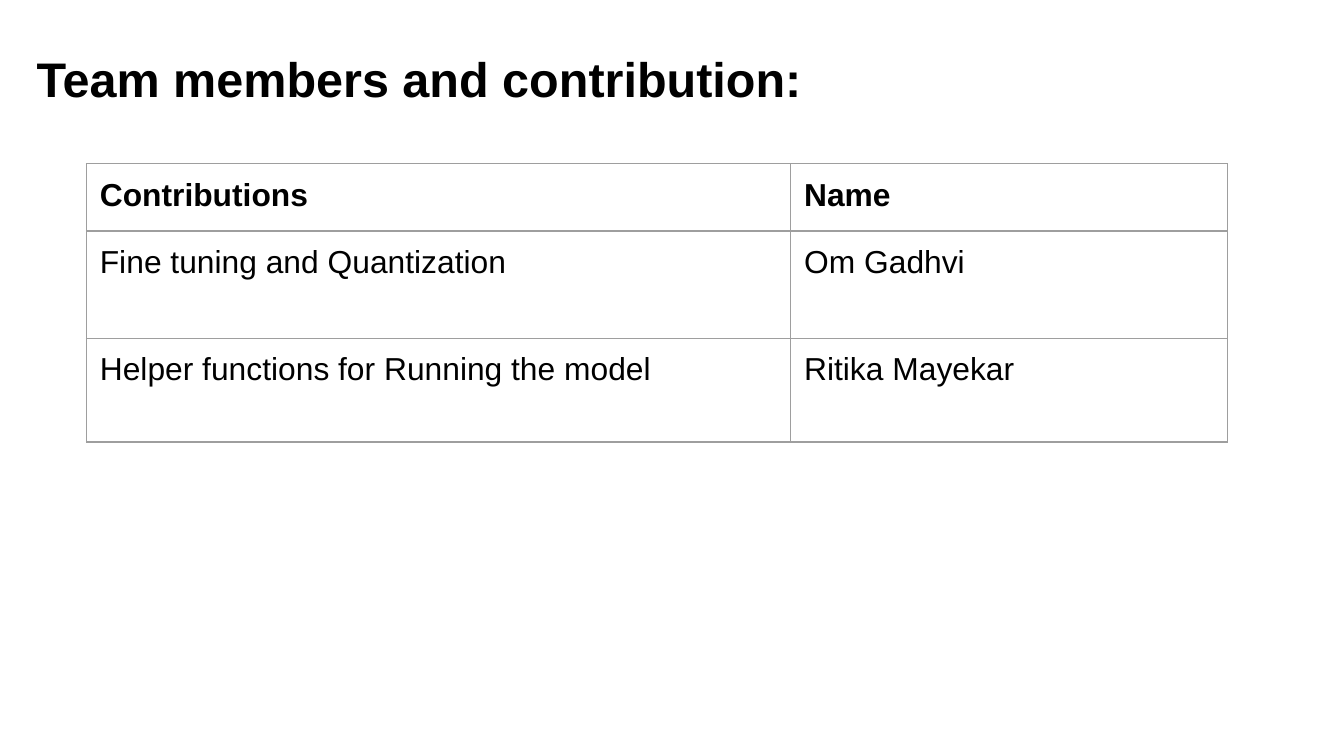
from lxml import etree
from pptx import Presentation
from pptx import util as u
from pptx.dml.color import RGBColor
from pptx.enum import text as t
from pptx.oxml.ns import qn

FONT = "Arial"
INK = "000000"
EDGE = "9E9E9E"
PAD = u.Pt(7.2)
COLS = (377.3, 234)
ROWS = (36, 57.6, 55.4)
CELLS = (
    ("Contributions", "Name"),
    ("Fine tuning and Quantization", "Om Gadhvi"),
    ("Helper functions for Running the model", "Ritika Mayekar"),
)


def tint(code):
    return RGBColor.from_string(code)


def add_run(para, words, size, bold):
    run = para.add_run()
    run.text = words
    font = run.font
    font.name, font.size, font.bold = FONT, u.Pt(size), bold
    font.color.rgb = tint(INK)


def add_edges(cell):
    # Borders must come before the fill in the cell properties
    props = cell._tc.get_or_add_tcPr()
    for spot, side in enumerate(("lnL", "lnR", "lnT", "lnB")):
        line = etree.Element(qn("a:" + side), w=str(u.Pt(0.75)))
        fill = etree.SubElement(line, qn("a:solidFill"))
        etree.SubElement(fill, qn("a:srgbClr"), val=EDGE)
        props.insert(spot, line)


def add_title(slide, words):
    title = slide.shapes.title
    title.left, title.top = u.Pt(18.7), u.Pt(25.2)
    title.width, title.height = u.Pt(414), u.Pt(33.1)
    frame = title.text_frame
    frame.margin_left = frame.margin_right = frame.margin_bottom = 0
    frame.margin_top = u.Pt(0.9)
    frame.vertical_anchor = t.MSO_ANCHOR.TOP
    frame.auto_size = t.MSO_AUTO_SIZE.SHAPE_TO_FIT_TEXT
    frame.word_wrap = True
    para = frame.paragraphs[0]
    para.alignment = t.PP_ALIGN.LEFT
    para._p.get_or_add_pPr().set("marL", str(u.Pt(0.9)))
    add_run(para, words, 26, True)


def add_cell(cell, words, bold):
    cell.margin_left = cell.margin_right = PAD
    cell.margin_top = cell.margin_bottom = PAD
    cell.vertical_anchor = t.MSO_ANCHOR.TOP
    cell.fill.background()
    add_edges(cell)
    add_run(cell.text_frame.paragraphs[0], words, 17, bold)


def add_grid(slide):
    table = slide.shapes.add_table(
        len(ROWS), len(COLS), u.Pt(46.3), u.Pt(87.8),
        u.Pt(sum(COLS)), u.Pt(sum(ROWS))).table
    table.first_row = table.horz_banding = False
    for col, width in zip(table.columns, COLS):
        col.width = u.Pt(width)
    for row, height, line in zip(table.rows, ROWS, CELLS):
        row.height = u.Pt(height)
        for cell, words in zip(row.cells, line):
            add_cell(cell, words, line is CELLS[0])


def main():
    deck = Presentation()
    deck.slide_width, deck.slide_height = u.Pt(720), u.Pt(405)
    # Title-only layout on a white page
    slide = deck.slides.add_slide(deck.slide_layouts[5])
    back = slide.background.fill
    back.solid()
    back.fore_color.rgb = tint("FFFFFF")
    add_title(slide, "Team members and contribution:")
    add_grid(slide)
    deck.save("out.pptx")


if __name__ == "__main__":
    main()
